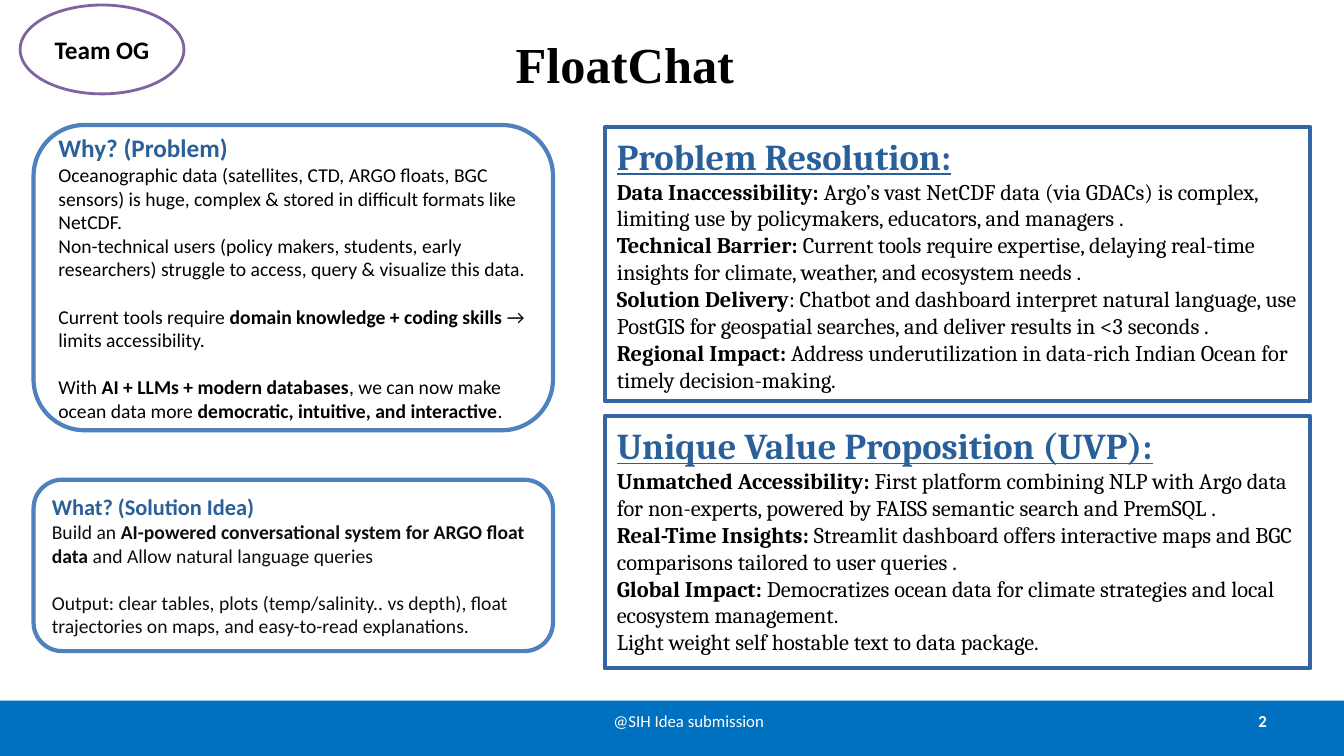
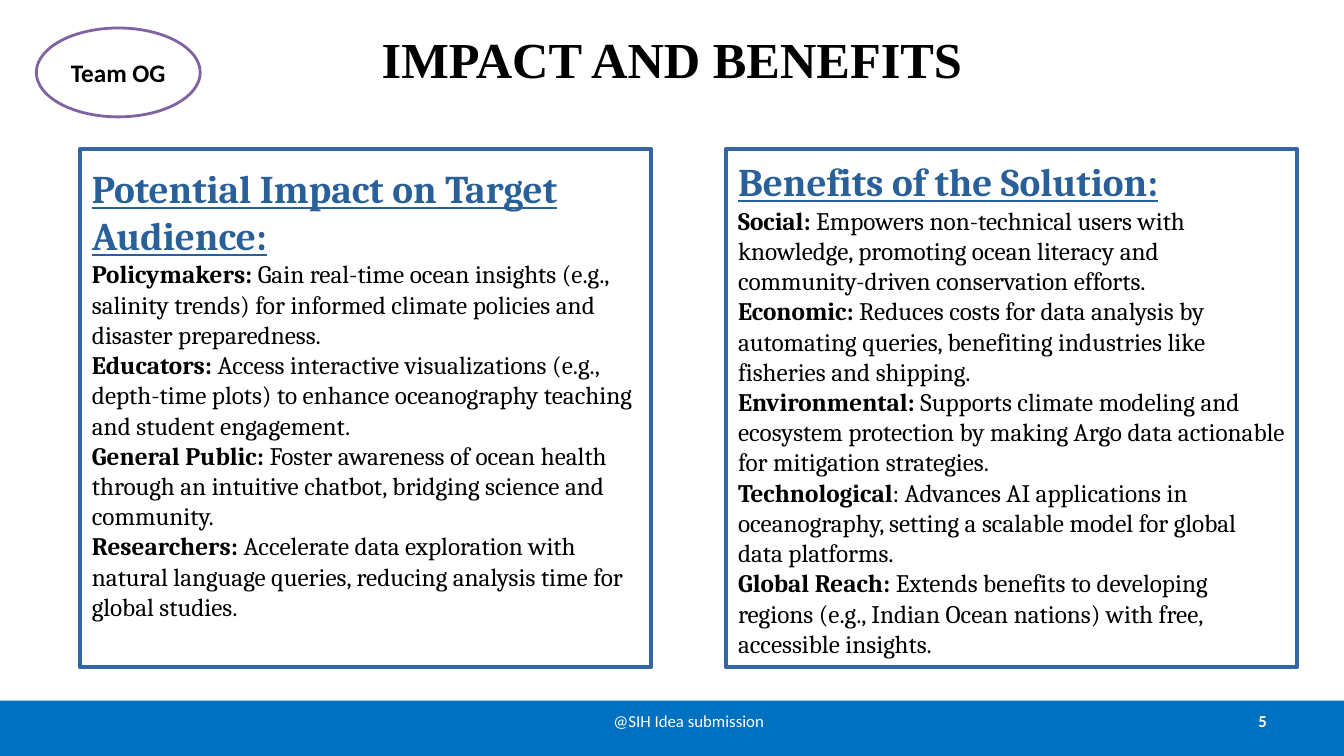
from dataclasses import dataclass
from typing import Optional

import pptx
import pptx.dml.color
import pptx.enum.shapes
import pptx.enum.text
import pptx.presentation
import pptx.shapes.autoshape
import pptx.slide
import pptx.text.text
import pptx.util

Pt = pptx.util.Pt
Preset = pptx.enum.shapes.MSO_SHAPE
Align = pptx.enum.text.PP_ALIGN
Anchor = pptx.enum.text.MSO_ANCHOR

SLIDE_WIDTH, SLIDE_HEIGHT = 960, 540
FOOTER_TOP, FOOTER_TEXT_HEIGHT = 500.4, 28.8
TITLE_ONLY_LAYOUT = 5

BLACK, WHITE = "000000", "FFFFFF"
NEAR_BLACK = "0D0D0D"
BAND_BLUE = "0070C0"
HEADING_BLUE = "2A6099"
PANEL_BLUE = "3465A4"
CARD_BLUE = "4F81BD"
BADGE_PURPLE = "8064A2"


@dataclass(frozen=True)
class Area:
    left: float
    top: float
    width: float
    height: float

    def lengths(self) -> tuple:
        return Pt(self.left), Pt(self.top), Pt(self.width), Pt(self.height)


@dataclass(frozen=True)
class TextStyle:
    font: str
    size: float
    color: str = BLACK
    bold: Optional[bool] = None
    underline: Optional[bool] = None


@dataclass(frozen=True)
class BoxStyle:
    preset: Preset
    line_color: str
    line_width: float
    fill: Optional[str] = None
    margins: tuple = (7.2, 3.6)


@dataclass(frozen=True)
class Line:
    """A paragraph of body text; **double stars** enclose bold words."""
    text: str
    space_before: float = 0


@dataclass(frozen=True)
class TextBlock:
    area: Area
    box: BoxStyle
    heading: str
    heading_style: TextStyle
    body_style: TextStyle
    lines: tuple
    anchor: Anchor = Anchor.MIDDLE
    extra_bottom: float = 0


@dataclass(frozen=True)
class SlideContent:
    title: str
    title_area: Area
    number: str
    badge_area: Area
    blocks: tuple


PANEL = BoxStyle(Preset.RECTANGLE, PANEL_BLUE, 2.89, WHITE, (8.64, 5.04))
CARD = BoxStyle(Preset.FLOWCHART_ALTERNATE_PROCESS, CARD_BLUE, 3)
BADGE = BoxStyle(Preset.OVAL, BADGE_PURPLE, 2, WHITE)

TITLE_TEXT = TextStyle("Times New Roman", 36, bold=True)
BADGE_TEXT = TextStyle("Calibri", 18, bold=True)
FOOTER_TEXT = TextStyle("Calibri", 12, WHITE)
NUMBER_TEXT = TextStyle("Calibri", 12, WHITE, bold=True)
CARD_GAP = 17


def panel_heading(size: float) -> TextStyle:
    return TextStyle("Cambria", size, HEADING_BLUE, bold=True, underline=True)


def card_heading(size: float) -> TextStyle:
    return TextStyle("Calibri", size, HEADING_BLUE, bold=True)


def solution_panel(top: float, height: float, heading: str, *lines: Line) -> TextBlock:
    return TextBlock(Area(432, top, 504, height), PANEL, heading, panel_heading(26),
                     TextStyle("Cambria", 16), lines, Anchor.TOP)


def impact_panel(left: float, heading: str, *lines: Line, extra_bottom: float = 0) -> TextBlock:
    return TextBlock(Area(left, 106.5, 408, 370), PANEL, heading, panel_heading(28),
                     TextStyle("Cambria", 18), lines, extra_bottom=extra_bottom)


def idea_card(top: float, height: float, heading: str, heading_size: float,
              body_color: str, *lines: Line) -> TextBlock:
    return TextBlock(Area(24, top, 371, height), CARD, heading, card_heading(heading_size),
                     TextStyle("Calibri", 14, body_color), lines)


SLIDES = (
    SlideContent(
        "FloatChat", Area(14.4, 0, 864, 90), "2", Area(14.4, 3.6, 117, 63.5),
        (
            solution_panel(
                297.5, 180, "Unique Value Proposition (UVP):",
                Line("**Unmatched Accessibility:** First platform combining NLP with Argo data "
                     "for non-experts, powered by FAISS semantic search and PremSQL ."),
                Line("**Real-Time Insights:** Streamlit dashboard offers interactive maps and "
                     "BGC comparisons tailored to user queries ."),
                Line("**Global Impact:** Democratizes ocean data for climate strategies and "
                     "local ecosystem management."),
                Line("Light weight self hostable text to data package."),
            ),
            solution_panel(
                90.7, 196, "Problem Resolution:",
                Line("**Data Inaccessibility:** Argo’s vast NetCDF data (via GDACs) is complex, "
                     "limiting use by policymakers, educators, and managers ."),
                Line("**Technical Barrier:** Current tools require expertise, delaying real-time "
                     "insights for climate, weather, and ecosystem needs ."),
                Line("**Solution Delivery**: Chatbot and dashboard interpret natural language, "
                     "use PostGIS for geospatial searches, and deliver results in <3 seconds ."),
                Line("**Regional Impact:** Address underutilization in data-rich Indian Ocean "
                     "for timely decision-making."),
            ),
            idea_card(
                89.3, 218, "Why? (Problem)", 18, BLACK,
                Line("Oceanographic data (satellites, CTD, ARGO floats, BGC sensors) is huge, "
                     "complex & stored in difficult formats like NetCDF."),
                Line("Non-technical users (policy makers, students, early researchers) struggle "
                     "to access, query & visualize this data."),
                Line("Current tools require **domain knowledge + coding skills** → limits "
                     "accessibility.", CARD_GAP),
                Line("With **AI + LLMs + modern databases**, we can now make ocean data more "
                     "**democratic, intuitive, and interactive**.", CARD_GAP),
            ),
            idea_card(
                342.7, 122.4, "What? (Solution Idea)", 16, NEAR_BLACK,
                Line("Build an **AI-powered conversational system for ARGO float data** and "
                     "Allow natural language queries"),
                Line("Output: clear tables, plots (temp/salinity.. vs depth), float trajectories "
                     "on maps, and easy-to-read explanations.", CARD_GAP),
            ),
        ),
    ),
    SlideContent(
        "IMPACT AND BENEFITS", Area(48, -3.6, 864, 90), "5", Area(26, 20, 117, 63.5),
        (
            impact_panel(
                57, "Potential Impact on Target Audience:",
                Line("**Policymakers:** Gain real-time ocean insights (e.g., salinity trends) "
                     "for informed climate policies and disaster preparedness."),
                Line("**Educators:** Access interactive visualizations (e.g., depth-time plots) "
                     "to enhance oceanography teaching and student engagement."),
                Line("**General Public:** Foster awareness of ocean health through an intuitive "
                     "chatbot, bridging science and community."),
                Line("**Researchers:** Accelerate data exploration with natural language "
                     "queries, reducing analysis time for global studies."),
                extra_bottom=21.6,
            ),
            impact_panel(
                518.5, "Benefits of the Solution:",
                Line("**Social:** Empowers non-technical users with knowledge, promoting ocean "
                     "literacy and community-driven conservation efforts."),
                Line("**Economic:** Reduces costs for data analysis by automating queries, "
                     "benefiting industries like fisheries and shipping."),
                Line("**Environmental:** Supports climate modeling and ecosystem protection by "
                     "making Argo data actionable for mitigation strategies."),
                Line("**Technological**: Advances AI applications in oceanography, setting a "
                     "scalable model for global data platforms."),
                Line("**Global Reach:** Extends benefits to developing regions (e.g., Indian "
                     "Ocean nations) with free, accessible insights."),
            ),
        ),
    ),
)


def rgb(color: str) -> pptx.dml.color.RGBColor:
    return pptx.dml.color.RGBColor.from_string(color)


def write_paragraph(paragraph: pptx.text.text._Paragraph, text: str, style: TextStyle,
                    alignment: Align = Align.LEFT) -> None:
    """Write text in one style, with the parts between double stars in bold."""
    paragraph.alignment = alignment
    font = paragraph.font
    font.name, font.size = style.font, Pt(style.size)
    font.bold, font.underline = style.bold, style.underline
    font.color.rgb = rgb(style.color)
    for index, part in enumerate(text.split("**")):
        if part:
            run = paragraph.add_run()
            run.text = part
            if index % 2:
                run.font.bold = True


def add_box(slide: pptx.slide.Slide, area: Area,
            style: BoxStyle) -> pptx.shapes.autoshape.Shape:
    shape = slide.shapes.add_shape(style.preset, *area.lengths())
    shape.shadow.inherit = False
    if style.fill:
        shape.fill.solid()
        shape.fill.fore_color.rgb = rgb(style.fill)
    else:
        shape.fill.background()
    shape.line.color.rgb = rgb(style.line_color)
    shape.line.width = Pt(style.line_width)
    frame = shape.text_frame
    frame.word_wrap = True
    frame.vertical_anchor = Anchor.MIDDLE
    horizontal, vertical = style.margins
    frame.margin_left = frame.margin_right = Pt(horizontal)
    frame.margin_top = frame.margin_bottom = Pt(vertical)
    return shape


def add_block(slide: pptx.slide.Slide, block: TextBlock) -> None:
    frame = add_box(slide, block.area, block.box).text_frame
    frame.vertical_anchor = block.anchor
    frame.margin_bottom = Pt(block.box.margins[1] + block.extra_bottom)
    write_paragraph(frame.paragraphs[0], block.heading, block.heading_style)
    for line in block.lines:
        paragraph = frame.add_paragraph()
        paragraph.space_before = Pt(line.space_before)
        write_paragraph(paragraph, line.text, block.body_style)


def add_footer_text(slide: pptx.slide.Slide, left: float, width: float, text: str,
                    style: TextStyle, alignment: Align) -> None:
    area = Area(left, FOOTER_TOP, width, FOOTER_TEXT_HEIGHT)
    frame = slide.shapes.add_textbox(*area.lengths()).text_frame
    frame.word_wrap = True
    frame.vertical_anchor = Anchor.MIDDLE
    write_paragraph(frame.paragraphs[0], text, style, alignment)


def add_footer(slide: pptx.slide.Slide, number: str) -> None:
    area = Area(0, FOOTER_TOP, SLIDE_WIDTH, SLIDE_HEIGHT - FOOTER_TOP)
    band = slide.shapes.add_shape(Preset.RECTANGLE, *area.lengths())
    band.shadow.inherit = False
    band.fill.solid()
    band.fill.fore_color.rgb = rgb(BAND_BLUE)
    band.line.fill.background()
    add_footer_text(slide, 688, 224, number, NUMBER_TEXT, Align.RIGHT)
    add_footer_text(slide, 366, 252, "@SIH Idea submission", FOOTER_TEXT, Align.CENTER)


def set_title(slide: pptx.slide.Slide, text: str, area: Area) -> None:
    title = slide.shapes.title
    title.left, title.top, title.width, title.height = area.lengths()
    title.text_frame.auto_size = pptx.enum.text.MSO_AUTO_SIZE.NONE
    title.text_frame.vertical_anchor = Anchor.MIDDLE
    write_paragraph(title.text_frame.paragraphs[0], text, TITLE_TEXT, Align.CENTER)


def add_slide(presentation: pptx.presentation.Presentation, content: SlideContent) -> None:
    slide = presentation.slides.add_slide(presentation.slide_layouts[TITLE_ONLY_LAYOUT])
    set_title(slide, content.title, content.title_area)
    add_footer(slide, content.number)
    badge = add_box(slide, content.badge_area, BADGE)
    write_paragraph(badge.text_frame.paragraphs[0], "Team OG", BADGE_TEXT, Align.CENTER)
    for block in content.blocks:
        add_block(slide, block)


def main() -> None:
    presentation = pptx.Presentation()
    presentation.slide_width, presentation.slide_height = Pt(SLIDE_WIDTH), Pt(SLIDE_HEIGHT)
    for content in SLIDES:
        add_slide(presentation, content)
    presentation.save("out.pptx")


if __name__ == "__main__":
    main()
